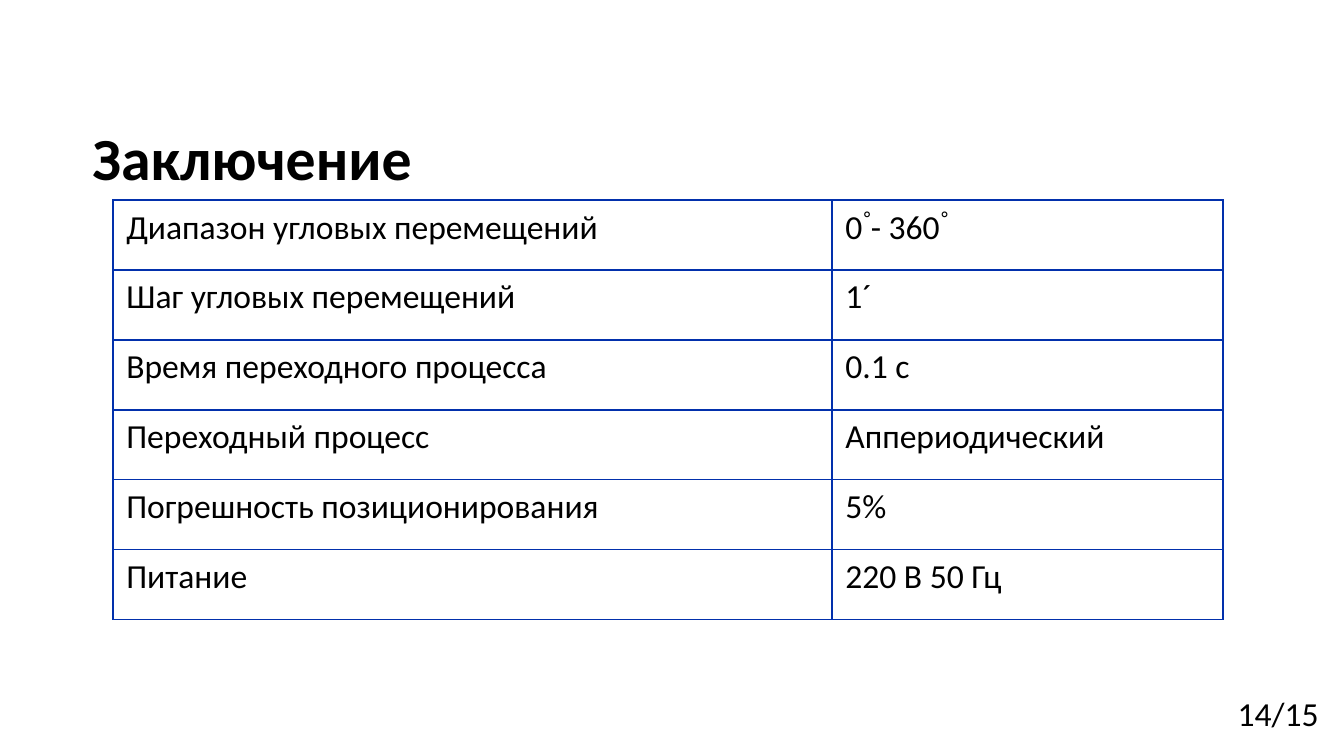
"""Build the conclusion slide with the table of drive parameters."""
from typing import NamedTuple

from lxml.etree import SubElement
from pptx import Presentation
from pptx.dml.color import RGBColor
from pptx.enum.text import MSO_ANCHOR as Anchor
from pptx.oxml.ns import qn
from pptx.util import Inches, Pt

BLACK, WHITE, BORDER = "000000", "FFFFFF", "0230AC"
BODY = {"name": "Calibri", "size": Pt(18), "bold": False}
HEADING = {"name": "Calibri", "size": Pt(32), "bold": True}
SLIDE_WIDTH = 10
SLIDE_HEIGHT = SLIDE_WIDTH * 9 / 16
COLUMN_WIDTHS = (5.35, 2.91)
ROW_HEIGHT = 0.52


class Parameter(NamedTuple):
    name: str
    value: str


class Label(NamedTuple):
    text: str
    left: float
    top: float
    width: float
    height: float
    style: dict
    anchor: Anchor


PARAMETERS = (
    Parameter("Диапазон угловых перемещений", "0֯ - 360֯"),
    Parameter("Шаг угловых перемещений", "1´"),
    Parameter("Время переходного процесса", "0.1 с"),
    Parameter("Переходный процесс", "Аппериодический"),
    Parameter("Погрешность позиционирования", "5%"),
    Parameter("Питание", "220 В 50 Гц"),
)
LABELS = (
    Label("Заключение", 0.59, 0.9, 8, 0.58, HEADING, Anchor.BOTTOM),
    Label("14/15", 9.11, 5.11, 0.89, 0.4, BODY, Anchor.TOP),
)


def color(value: str) -> RGBColor:
    return RGBColor.from_string(value)


def write(frame, text: str, style: dict) -> None:
    run = frame.paragraphs[0].add_run()
    run.text = text
    for attribute, value in style.items():
        setattr(run.font, attribute, value)
    run.font.color.rgb = color(BLACK)


def draw_label(slide, label: Label) -> None:
    place = map(Inches, (label.left, label.top, label.width, label.height))
    frame = slide.shapes.add_textbox(*place).text_frame
    frame.word_wrap = True
    frame.vertical_anchor = label.anchor
    write(frame, label.text, label.style)


def draw_borders(cell) -> None:
    properties = cell._tc.get_or_add_tcPr()
    for position, side in enumerate(("lnL", "lnR", "lnT", "lnB")):
        line = SubElement(properties, qn(f"a:{side}"), w=str(Pt(1)))
        fill = SubElement(line, qn("a:solidFill"))
        SubElement(fill, qn("a:srgbClr"), val=BORDER)
        properties.insert(position, line)


def draw_parameters(slide, parameters: tuple[Parameter, ...]) -> None:
    place = (0.84, 1.49, sum(COLUMN_WIDTHS), ROW_HEIGHT * len(parameters))
    table = slide.shapes.add_table(
        len(parameters), len(COLUMN_WIDTHS), *map(Inches, place)
    ).table
    for column, width in zip(table.columns, COLUMN_WIDTHS):
        column.width = Inches(width)
    for row, parameter in zip(table.rows, parameters):
        row.height = Inches(ROW_HEIGHT)
        for cell, text in zip(row.cells, parameter):
            cell.fill.solid()
            cell.fill.fore_color.rgb = color(WHITE)
            draw_borders(cell)
            write(cell.text_frame, text, BODY)


def main() -> None:
    presentation = Presentation()
    presentation.slide_width = Inches(SLIDE_WIDTH)
    presentation.slide_height = Inches(SLIDE_HEIGHT)
    slide = presentation.slides.add_slide(presentation.slide_layouts[6])
    heading, page = LABELS
    draw_label(slide, heading)
    draw_parameters(slide, PARAMETERS)
    draw_label(slide, page)
    presentation.save("out.pptx")


if __name__ == "__main__":
    main()
